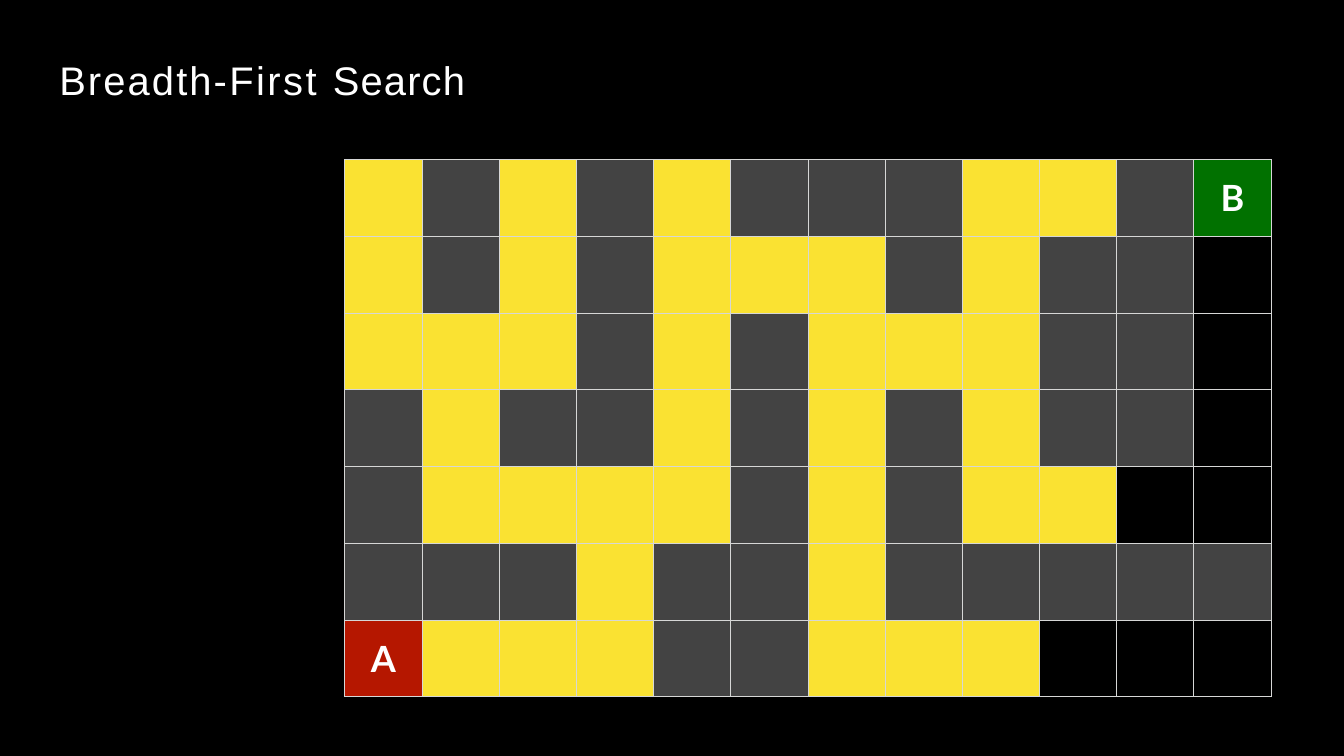
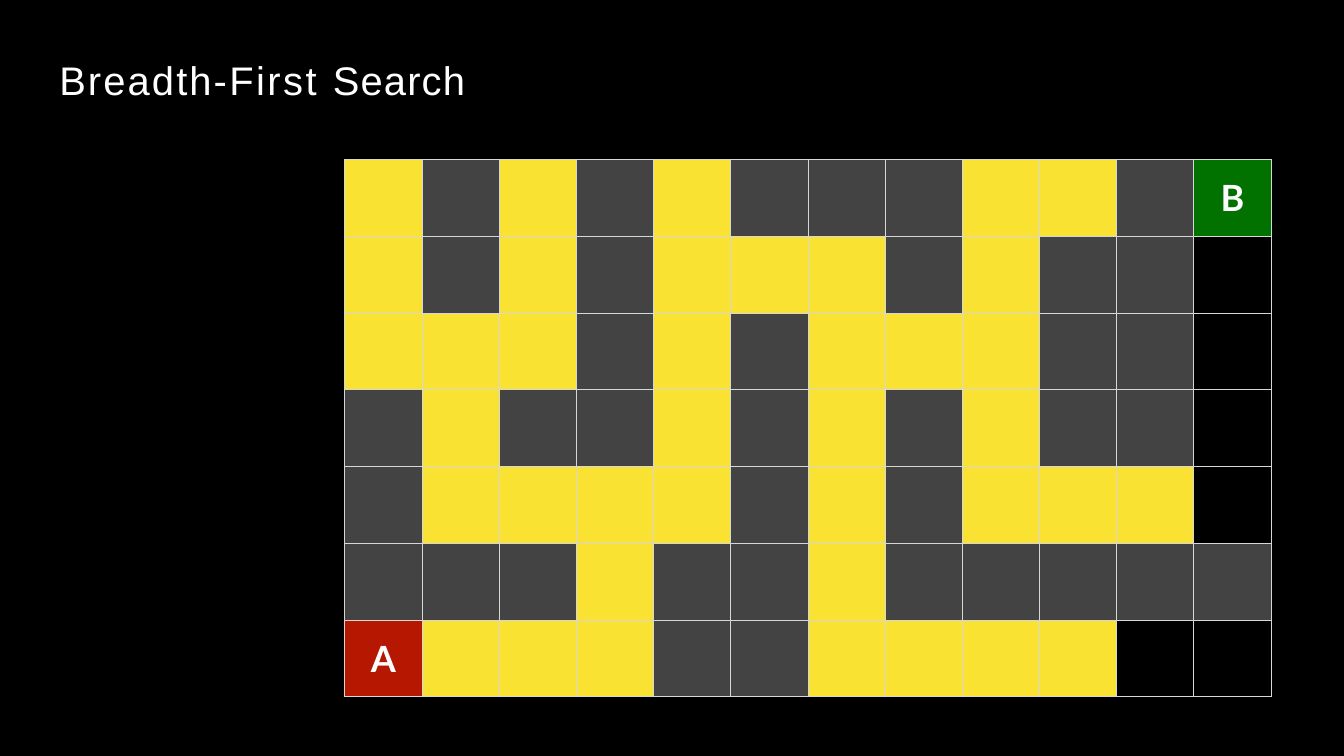
from dataclasses import dataclass

from lxml import etree
from pptx import Presentation
from pptx import util as u
from pptx.dml.color import RGBColor
from pptx.enum import text as t
from pptx.oxml import ns

WHITE, BLACK = "FFFFFF", "000000"
GRID_LINE = "D6D7D6"
LEFT, TOP, WIDTH, HEIGHT = 5.64, 2.61, 15.16, 8.79

# "#" wall, "*" explored, "-" not yet explored, "A" start, "B" goal
MAZE = (
    "*#*#*###**#B",
    "*#*#***#*##-",
    "***#*#***##-",
    "#*##*#*#*##-",
    "#****#*#**--",
    "###*##*#####",
    "A***##***---",
)


@dataclass(frozen=True)
class CellStyle:
    fill: str
    label: str = ""
    spacing: float = 0


STYLES = {
    "#": CellStyle("434343"),
    "*": CellStyle("FAE232"),
    "A": CellStyle("B51700", "A", 4.2),
    "B": CellStyle("017100", "B", 1.2),
}


@dataclass(frozen=True)
class Step:
    """Cells, as (row, column), explored beyond those marked in MAZE."""
    newly_explored: frozenset


STEPS = (Step(frozenset()), Step(frozenset({(4, 10), (6, 9)})))


def colour(value: str) -> RGBColor:
    return RGBColor.from_string(value)


def add_text(para, words: str, *, size: float, font: str, spacing: float,
             bold: bool = False, fill: str = WHITE) -> None:
    span = para.add_run()
    span.text = words
    span.font.size = u.Pt(size)
    span.font.name = font
    span.font.bold = bold
    span.font.color.rgb = colour(fill)
    span._r.get_or_add_rPr().set("spc", str(round(spacing * 100)))


def add_borders(cell) -> None:
    properties = cell._tc.get_or_add_tcPr()
    for side in ("a:lnL", "a:lnR", "a:lnT", "a:lnB"):
        line = etree.SubElement(properties, ns.qn(side), w=str(u.Pt(1)))
        solid = etree.SubElement(line, ns.qn("a:solidFill"))
        etree.SubElement(solid, ns.qn("a:srgbClr"), val=GRID_LINE)


def format_cell(cell, style: CellStyle | None) -> None:
    add_borders(cell)
    if style is None:
        cell.fill.background()
        return
    cell.fill.solid()
    cell.fill.fore_color.rgb = colour(style.fill)
    if style.label:
        cell.margin_left = cell.margin_right = 0
        cell.margin_top = cell.margin_bottom = 0
        cell.vertical_anchor = t.MSO_ANCHOR.MIDDLE
        para = cell.text_frame.paragraphs[0]
        para.alignment = t.PP_ALIGN.CENTER
        add_text(para, style.label, size=42.5, font="Lato",
                 spacing=style.spacing, bold=True)


def add_maze(page, step: Step) -> None:
    rows, columns = len(MAZE), len(MAZE[0])
    table = page.shapes.add_table(
        rows, columns, u.Inches(LEFT), u.Inches(TOP),
        u.Inches(WIDTH), u.Inches(HEIGHT)).table
    table.first_row = table.horz_banding = False
    for row, symbols in enumerate(MAZE):
        for column, symbol in enumerate(symbols):
            if (row, column) in step.newly_explored:
                symbol = "*"
            format_cell(table.cell(row, column), STYLES.get(symbol))


def format_title(title) -> None:
    title.left, title.top = u.Inches(0.68), u.Inches(0.43)
    title.width, title.height = u.Inches(12.93), u.Inches(1.78)
    frame = title.text_frame
    frame.word_wrap = True
    frame.auto_size = t.MSO_AUTO_SIZE.NONE
    frame.vertical_anchor = t.MSO_ANCHOR.TOP
    frame.margin_left, frame.margin_top = u.Inches(0.29), u.Inches(0.48)
    frame.margin_right = frame.margin_bottom = 0
    para = frame.paragraphs[0]
    para.alignment = t.PP_ALIGN.LEFT
    for words, spacing in (("Breadth-", 2.5), ("First ", 2.9), ("Search", 1.4)):
        add_text(para, words, size=47, font="Arial", spacing=spacing)


def main() -> None:
    deck = Presentation()
    deck.slide_width, deck.slide_height = u.Inches(21.99), u.Inches(12.37)
    backdrop = deck.slide_master.background.fill
    backdrop.solid()
    backdrop.fore_color.rgb = colour(BLACK)
    title_only = deck.slide_layouts.get_by_name("Title Only")
    for step in STEPS:
        page = deck.slides.add_slide(title_only)
        format_title(page.shapes.title)
        add_maze(page, step)
    deck.save("out.pptx")


if __name__ == "__main__":
    main()
